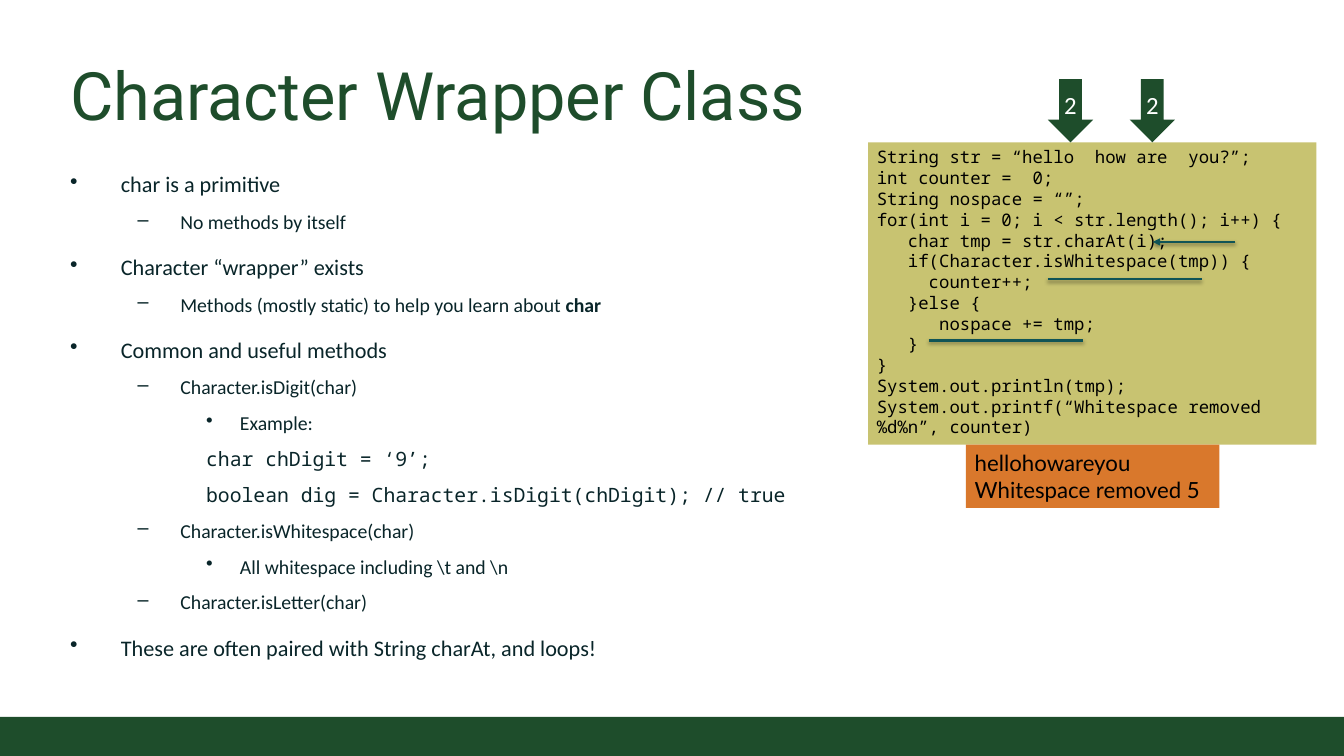
"""Build the Character Wrapper Class slide."""
from dataclasses import dataclass

import pptx
import pptx.dml.color
import pptx.enum.shapes
import pptx.enum.text
import pptx.oxml
import pptx.oxml.ns
import pptx.util

Inches = pptx.util.Inches
Pt = pptx.util.Pt
MSO_SHAPE = pptx.enum.shapes.MSO_SHAPE
MSO_ANCHOR = pptx.enum.text.MSO_ANCHOR
PP_ALIGN = pptx.enum.text.PP_ALIGN


@dataclass(frozen=True)
class Theme:
    green: str = "1E4D2B"
    ink: str = "092529"
    olive: str = "C8C371"
    orange: str = "D9782C"
    teal: str = "105456"
    black: str = "000000"
    white: str = "FFFFFF"
    heading_font: str = "Roboto"
    body_font: str = "Calibri"
    code_font: str = "Noto Sans Mono"
    output_font: str = "Lato"
    title: int = 54
    arrow: int = 20
    main: int = 18
    detail: int = 16
    code: int = 14


THEME = Theme()

# style: level, left margin, first-line indent, bullet, size, font, space before
STYLES = {
    "topic": (0, 0.57, -0.57, "•", THEME.main, THEME.body_font, 6),
    "point": (1, 1.24, -0.48, "–", THEME.detail, THEME.body_font, 0),
    "note": (2, 1.91, -0.38, "•", THEME.detail, THEME.body_font, 0),
    "code": (2, 1.53, 0, None, THEME.detail, THEME.code_font, 0),
}

OUTLINE = [
    ("topic", "char is a primitive"),
    ("point", "No methods by itself"),
    ("topic", "Character “wrapper” exists"),
    ("point", "Methods (mostly static) to help you learn about ", "char"),
    ("topic", "Common and useful methods"),
    ("point", "Character.isDigit(char)"),
    ("note", "Example:"),
    ("code", "char chDigit = ‘9’;"),
    ("code", "boolean dig = Character.isDigit(chDigit); // true"),
    ("point", "Character.isWhitespace(char)"),
    ("note", r"All whitespace including \t and \n"),
    ("point", "Character.isLetter(char)"),
    ("topic", "These are often paired with String charAt, and loops!"),
]

CODE = """String str = “hello  how are  you?”;
int counter =  0;
String nospace = “”;
for(int i = 0; i < str.length(); i++) {
   char tmp = str.charAt(i);
   if(Character.isWhitespace(tmp)) {
     counter++;
   }else {
      nospace += tmp;
   }
}
System.out.println(tmp);
System.out.printf(“Whitespace removed %d%n”, counter)"""

OUTPUT = "hellohowareyou\nWhitespace removed 5"


def rgb(color):
    return pptx.dml.color.RGBColor.from_string(color)


def format_runs(p, size, font, color):
    for r in p.runs:
        r.font.size = Pt(size)
        r.font.name = font
        r.font.color.rgb = rgb(color)


def add_text_box(slide, box, inset=0.1, anchor=MSO_ANCHOR.TOP):
    tf = slide.shapes.add_textbox(*map(Inches, box)).text_frame
    tf.word_wrap = True
    tf.vertical_anchor = anchor
    tf.margin_left = tf.margin_right = Inches(inset)
    tf.margin_top = tf.margin_bottom = Inches(inset)
    return tf


def add_block(slide, kind, box, fill):
    sp = slide.shapes.add_shape(kind, *map(Inches, box))
    sp.shadow.inherit = False
    sp.fill.solid()
    sp.fill.fore_color.rgb = rgb(fill)
    sp.line.fill.background()
    return sp


def add_panel(slide, box, fill, text, size, font):
    tf = add_block(slide, MSO_SHAPE.RECTANGLE, box, fill).text_frame
    tf.word_wrap = True
    tf.vertical_anchor = MSO_ANCHOR.TOP
    tf.text = text
    for p in tf.paragraphs:
        p.alignment = PP_ALIGN.LEFT
        format_runs(p, size, font, THEME.black)


def add_down_arrow(slide, left, label):
    sp = add_block(slide, MSO_SHAPE.DOWN_ARROW, (left, 0.89, 0.51, 0.71), THEME.green)
    tf = sp.text_frame
    tf.word_wrap = False
    tf.margin_left = tf.margin_right = tf.margin_top = tf.margin_bottom = 0
    tf.vertical_anchor = MSO_ANCHOR.MIDDLE
    tf.text = label
    p = tf.paragraphs[0]
    p.alignment = PP_ALIGN.CENTER
    format_runs(p, THEME.arrow, THEME.body_font, THEME.white)


def add_line(slide, x1, x2, y, arrow=False):
    line = slide.shapes.add_connector(
        pptx.enum.shapes.MSO_CONNECTOR.STRAIGHT, *map(Inches, (x1, y, x2, y)))
    line.line.color.rgb = rgb(THEME.teal)
    line.line.width = Pt(2)
    if arrow:
        ln = line.line._get_or_add_ln()
        ln.append(pptx.oxml.parse_xml(
            f'<a:tailEnd {pptx.oxml.ns.nsdecls("a")} type="triangle"/>'))
    line._element.spPr.append(pptx.oxml.parse_xml(
        f'<a:effectLst {pptx.oxml.ns.nsdecls("a")}>'
        f'<a:outerShdw blurRad="{Pt(3.1)}" dist="{Pt(1.6)}" dir="5400000" rotWithShape="0">'
        f'<a:srgbClr val="{THEME.black}"><a:alpha val="38000"/></a:srgbClr>'
        '</a:outerShdw></a:effectLst>'))


def format_outline(p, style):
    level, margin, indent, bullet, size, font, before = STYLES[style]
    p.level = level
    p.line_spacing = 1.2
    p.space_before = Pt(before)
    p.space_after = Pt(6)
    pPr = p._p.get_or_add_pPr()
    pPr.set("marL", str(Inches(margin)))
    pPr.set("indent", str(Inches(indent)))
    if bullet:
        pPr.append(pptx.oxml.parse_xml(
            f'<a:buChar {pptx.oxml.ns.nsdecls("a")} char="{bullet}"/>'))
    format_runs(p, size, font, THEME.ink)


def add_outline(slide, box, items):
    tf = add_text_box(slide, box)
    for i, (style, text, *bold) in enumerate(items):
        p = tf.add_paragraph() if i else tf.paragraphs[0]
        p.text = text
        for word in bold:
            r = p.add_run()
            r.text = word
            r.font.bold = True
        format_outline(p, style)


def add_title(slide, box, text):
    tf = add_text_box(slide, box, anchor=MSO_ANCHOR.BOTTOM)
    tf.text = text
    format_runs(tf.paragraphs[0], THEME.title, THEME.heading_font, THEME.green)


def main():
    prs = pptx.Presentation()
    prs.slide_width = Inches(15.11)
    prs.slide_height = Inches(8.5)
    slide = prs.slides.add_slide(prs.slide_layouts[6])

    add_block(slide, MSO_SHAPE.RECTANGLE, (0, 8.06, 15.11, 0.44), THEME.green)
    add_title(slide, (0.69, 0.49, 13.74, 1.11), "Character Wrapper Class")
    add_outline(slide, (0.69, 1.76, 8.66, 5.79), OUTLINE)
    add_panel(slide, (9.76, 1.6, 5.04, 3.4), THEME.olive, CODE, THEME.code, THEME.code_font)
    add_panel(slide, (10.86, 5, 2.85, 0.71), THEME.orange, OUTPUT, THEME.main, THEME.output_font)
    for left in (11.78, 12.7):
        add_down_arrow(slide, left, "2")
    add_line(slide, 11.78, 13.51, 3.14)
    add_line(slide, 10.44, 12.18, 3.83)
    add_line(slide, 13.89, 12.96, 2.72, arrow=True)

    prs.save("out.pptx")


if __name__ == "__main__":
    main()
